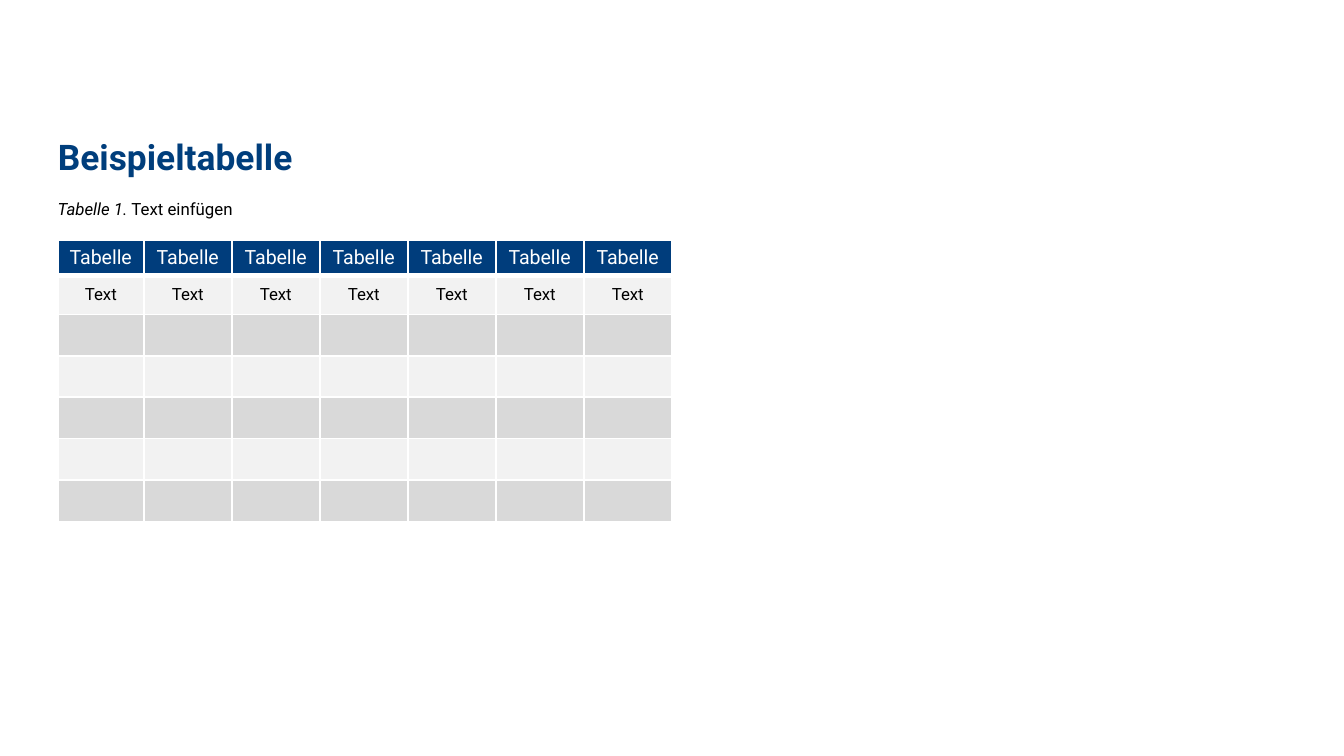
from dataclasses import dataclass

from lxml.etree import SubElement
from pptx import Presentation
from pptx.dml.color import RGBColor
from pptx.enum.text import MSO_ANCHOR, PP_ALIGN
from pptx.oxml.ns import qn
from pptx.util import Inches, Pt


@dataclass(frozen=True)
class Theme:
    font: str = "Roboto"
    title_color: str = "003E7C"
    header_fill: str = "003D7C"
    light_fill: str = "F2F2F2"
    dark_fill: str = "D9D9D9"
    white: str = "FFFFFF"
    black: str = "000000"
    title_size: float = 18.9
    header_size: float = 10.5
    body_size: float = 9
    thin_border: float = 1
    thick_border: float = 3


THEME = Theme()
SLIDE_WIDTH = 10
SLIDE_HEIGHT = SLIDE_WIDTH * 9 / 16
COLUMN_COUNT = 7
ROWS = [["Tabelle"] * COLUMN_COUNT, ["Text"] * COLUMN_COUNT]
ROWS += [[""] * COLUMN_COUNT for _ in range(5)]
LEFT = 0.43
TABLE_WIDTH, FIRST_COLUMN_WIDTH = 4.57, 0.64
TABLE_HEIGHT, HEADER_HEIGHT, TEXT_ROW_HEIGHT = 2.09, 0.26, 0.29


def format_run(run, size, color, bold=False, italic=False):
    run.font.name = THEME.font
    run.font.size = Pt(size)
    run.font.color.rgb = RGBColor.from_string(color)
    run.font.bold = bold
    run.font.italic = italic


def add_text_box(slide, top, width, height, margins):
    shape = slide.shapes.add_textbox(
        Inches(LEFT), Inches(top), Inches(width), Inches(height)
    )
    frame = shape.text_frame
    frame.word_wrap = True
    frame.margin_left, frame.margin_top, frame.margin_right, frame.margin_bottom = (
        Inches(margin) for margin in margins
    )
    return frame


def add_title(slide):
    frame = add_text_box(slide, 1, 9.21, 0.32, (0, 0, 0, 0))
    frame.vertical_anchor = MSO_ANCHOR.BOTTOM
    frame.text = "Beispieltabelle"
    paragraph = frame.paragraphs[0]
    paragraph.line_spacing = Pt(36.8)
    format_run(paragraph.runs[0], THEME.title_size, THEME.title_color, bold=True)


def add_caption(slide):
    frame = add_text_box(slide, 1.43, 2.76, 0.25, (0, 0.05, 0.1, 0.05))
    for text, italic in (("Tabelle 1. ", True), ("Text einfügen", False)):
        run = frame.paragraphs[0].add_run()
        run.text = text
        format_run(run, THEME.body_size, THEME.black, italic=italic)


def set_borders(cell, top, bottom):
    thin = THEME.thin_border
    properties = cell._tc.get_or_add_tcPr()
    widths = {"a:lnL": thin, "a:lnR": thin, "a:lnT": top, "a:lnB": bottom}
    for index, (tag, width) in enumerate(widths.items()):
        line = SubElement(properties, qn(tag), w=str(Pt(width)))
        fill = SubElement(line, qn("a:solidFill"))
        SubElement(fill, qn("a:srgbClr"), val=THEME.white)
        properties.insert(index, line)


def format_cell(cell, text, size, color, fill):
    cell.margin_left = cell.margin_right = Inches(0.07)
    cell.margin_top = cell.margin_bottom = Inches(0.04)
    cell.vertical_anchor = MSO_ANCHOR.MIDDLE
    cell.fill.solid()
    cell.fill.fore_color.rgb = RGBColor.from_string(fill)
    cell.text_frame.text = text
    paragraph = cell.text_frame.paragraphs[0]
    paragraph.alignment = PP_ALIGN.CENTER
    for run in paragraph.runs:
        format_run(run, size, color)
    if not text:
        SubElement(paragraph._p, qn("a:endParaRPr"), sz=str(int(size * 100)))


def add_example_table(slide):
    table = slide.shapes.add_table(
        len(ROWS), COLUMN_COUNT, Inches(LEFT), Inches(1.79),
        Inches(TABLE_WIDTH), Inches(TABLE_HEIGHT),
    ).table

    other_width = (TABLE_WIDTH - FIRST_COLUMN_WIDTH) / (COLUMN_COUNT - 1)
    for index, column in enumerate(table.columns):
        column.width = Inches(other_width if index else FIRST_COLUMN_WIDTH)

    fixed_heights = [HEADER_HEIGHT, TEXT_ROW_HEIGHT]
    empty_count = len(ROWS) - len(fixed_heights)
    empty_height = (TABLE_HEIGHT - sum(fixed_heights)) / empty_count
    heights = fixed_heights + [empty_height] * empty_count

    for row_index, (texts, height) in enumerate(zip(ROWS, heights)):
        table.rows[row_index].height = Inches(height)
        if row_index == 0:
            style = (THEME.header_size, THEME.white, THEME.header_fill)
        else:
            fill = THEME.light_fill if row_index % 2 else THEME.dark_fill
            style = (THEME.body_size, THEME.black, fill)
        top = THEME.thick_border if row_index == 1 else THEME.thin_border
        bottom = THEME.thick_border if row_index == 0 else THEME.thin_border
        for column_index, text in enumerate(texts):
            cell = table.cell(row_index, column_index)
            format_cell(cell, text, *style)
            set_borders(cell, top, bottom)


def main():
    presentation = Presentation()
    presentation.slide_width = Inches(SLIDE_WIDTH)
    presentation.slide_height = Inches(SLIDE_HEIGHT)
    slide = presentation.slides.add_slide(presentation.slide_layouts[6])
    add_caption(slide)
    add_example_table(slide)
    add_title(slide)
    presentation.save("out.pptx")


if __name__ == "__main__":
    main()
